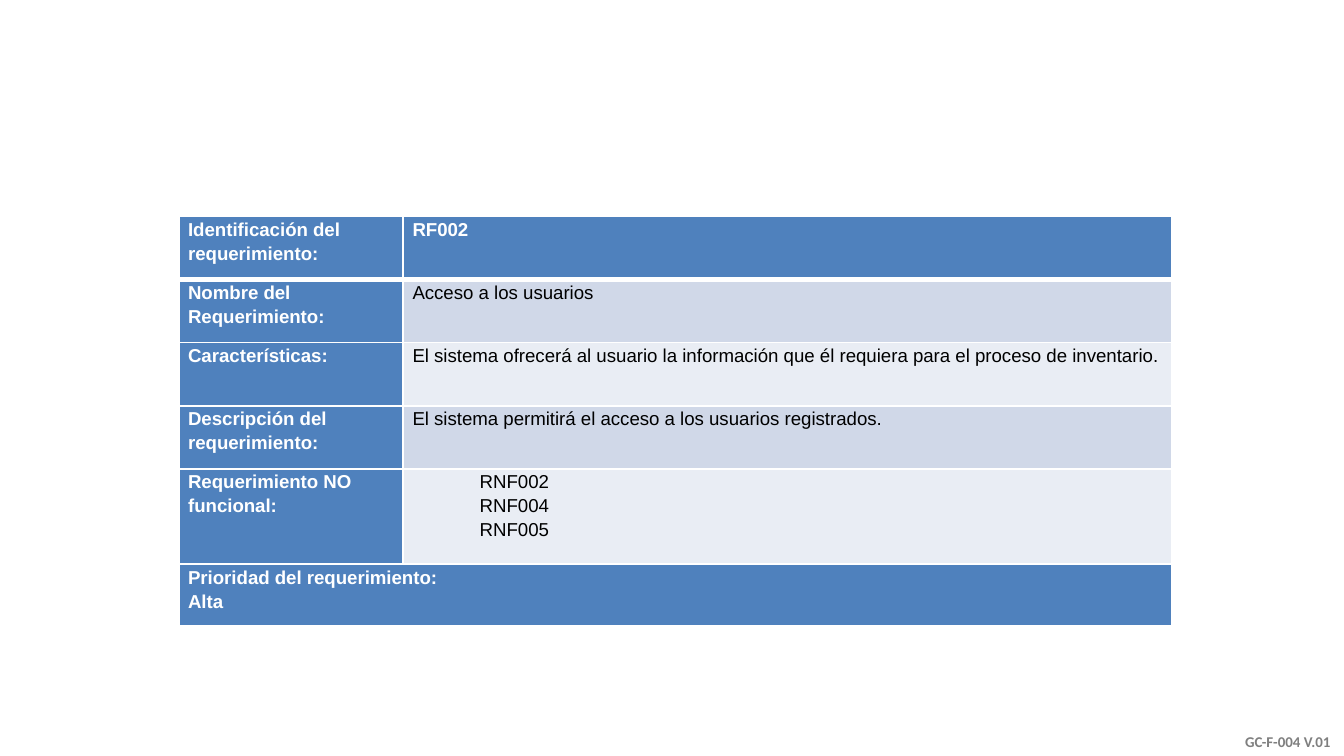
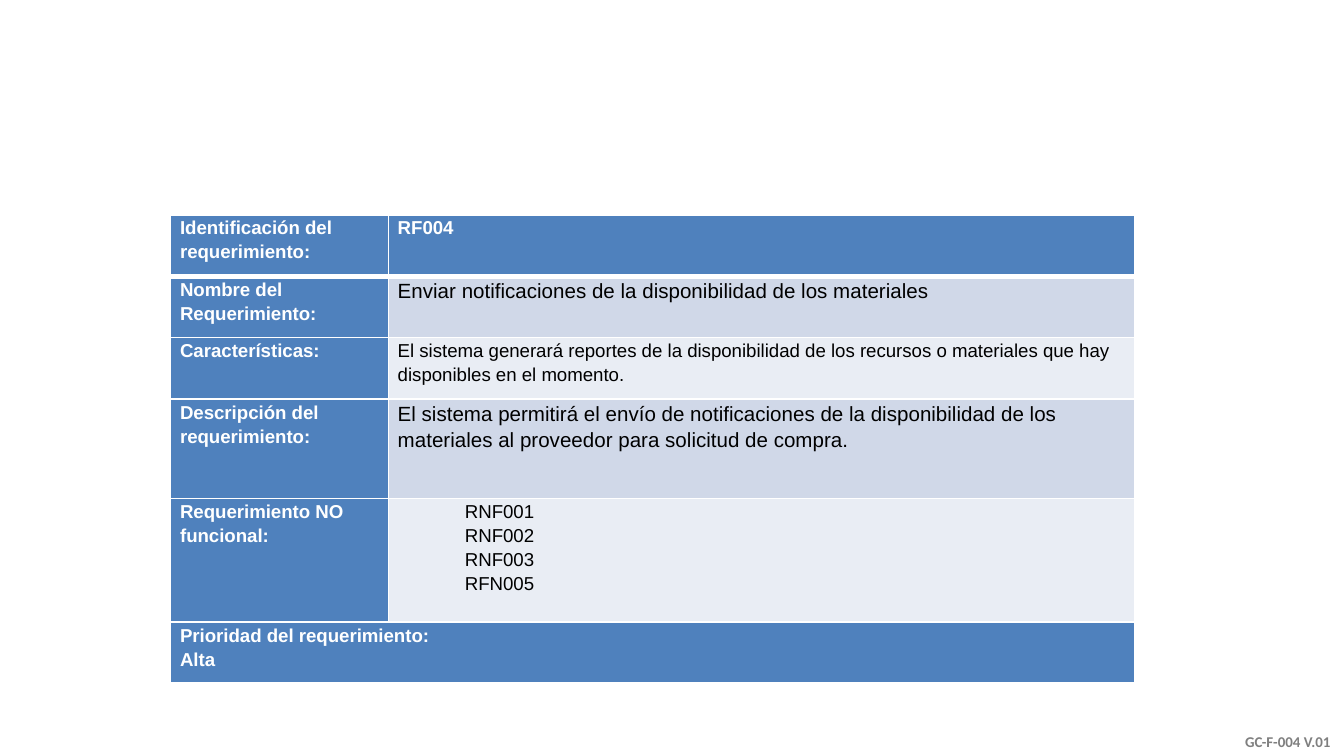
from dataclasses import dataclass

from lxml.etree import SubElement
from pptx import Presentation
from pptx.dml.color import RGBColor as Color
from pptx.enum.text import MSO_ANCHOR as Anchor, PP_ALIGN as Align
from pptx.oxml.ns import qn
from pptx.util import Inches, Pt


@dataclass(frozen=True)
class Theme:
    accent: str = "4F81BD"
    bands: tuple = ("D0D8E8", "E9EDF4")
    light: str = "FFFFFF"
    dark: str = "000000"
    muted: str = "7F7F7F"
    body_font: str = "Arial"
    footer_font: str = "Calibri"
    body_size: int = 10
    large_size: int = 11
    footer_size: int = 8
    line_spacing: float = 1.15
    border: int = 1
    header_border: int = 3


THEME = Theme()
PAGE_WIDTH = 10
PAGE_HEIGHT = PAGE_WIDTH * 9 / 16
FOOTER = "GC-F-004 V.01"
LABELS = [
    "Identificación del requerimiento:",
    "Nombre del Requerimiento:",
    "Características:",
    "Descripción del requerimiento:",
    "Requerimiento NO funcional:",
]
PRIORITY_LABEL = "Prioridad del requerimiento:"

REQUIREMENTS = [
    {
        "code": "RF002",
        "name": "Acceso a los usuarios",
        "features": "El sistema ofrecerá al usuario la información que él requiera "
                    "para el proceso de inventario.",
        "description": "El sistema permitirá el acceso a los usuarios registrados.",
        "non_functional": ["RNF002", "RNF004", "RNF005"],
        "priority": "Alta",
        "large_rows": (),
        "origin": (1.33, 1.61),
        "widths": (1.67, 5.72),
        "heights": (0.47, 0.47, 0.47, 0.47, 0.71, 0.46),
    },
    {
        "code": "RF004",
        "name": "Enviar notificaciones de la disponibilidad de los materiales",
        "features": "El sistema generará reportes de la disponibilidad de los recursos "
                    "o materiales que hay disponibles en el momento.",
        "description": "El sistema permitirá el envío de notificaciones de la "
                       "disponibilidad de los materiales al proveedor para solicitud "
                       "de compra.",
        "non_functional": ["RNF001", "RNF002", "RNF003", "RFN005"],
        "priority": "Alta",
        "large_rows": (1, 3),
        "origin": (1.27, 1.6),
        "widths": (1.62, 5.55),
        "heights": (0.46, 0.45, 0.46, 0.74, 0.92, 0.45),
    },
]


def format_text(para, font, size, color, bold):
    for span in para.runs:
        span.font.name = font
        span.font.size = Pt(size)
        span.font.bold = bold
        span.font.color.rgb = Color.from_string(color)


def set_borders(cell, row):
    properties = cell._tc.get_or_add_tcPr()
    for side in "LRTB":
        below_header = (row, side) in ((0, "B"), (1, "T"))
        width = THEME.header_border if below_header else THEME.border
        line = SubElement(properties, qn(f"a:ln{side}"), w=str(Pt(width)))
        fill = SubElement(line, qn("a:solidFill"))
        SubElement(fill, qn("a:srgbClr"), val=THEME.light)


def write_cell(cell, row, lines, fill, strong, size=THEME.body_size, indent=0):
    cell.margin_left = cell.margin_right = Inches(0.07)
    cell.margin_top = cell.margin_bottom = 0
    set_borders(cell, row)
    cell.fill.solid()
    cell.fill.fore_color.rgb = Color.from_string(fill)
    cell.text_frame.text = "\n".join(lines)
    for para in cell.text_frame.paragraphs:
        para.line_spacing = THEME.line_spacing
        if indent:
            properties = para._p.get_or_add_pPr()
            properties.set("marL", str(Inches(indent)))
            properties.set("indent", "0")
        color = THEME.light if strong else THEME.dark
        format_text(para, THEME.body_font, size, color, strong)


def add_requirement(page, item):
    widths, heights = item["widths"], item["heights"]
    left, top = item["origin"]
    table = page.shapes.add_table(
        len(heights), len(widths), Inches(left), Inches(top),
        Inches(sum(widths)), Inches(sum(heights))).table
    for column, width in zip(table.columns, widths):
        column.width = Inches(width)
    for table_row, height in zip(table.rows, heights):
        table_row.height = Inches(height)

    values = [[item["code"]], [item["name"]], [item["features"]],
              [item["description"]], item["non_functional"]]
    for row, (label, lines) in enumerate(zip(LABELS, values)):
        header = row == 0
        write_cell(table.cell(row, 0), row, [label], THEME.accent, True)
        write_cell(
            table.cell(row, 1), row, lines,
            THEME.accent if header else THEME.bands[(row - 1) % 2], header,
            THEME.large_size if row in item["large_rows"] else THEME.body_size,
            0.5 if lines is item["non_functional"] else 0)

    last = len(LABELS)
    table.cell(last, 0).merge(table.cell(last, 1))
    write_cell(table.cell(last, 0), last, [PRIORITY_LABEL, item["priority"]],
               THEME.accent, True)
    set_borders(table.cell(last, 1), last)


def add_footer(page):
    box = page.shapes.add_textbox(Inches(8.37), Inches(5.2), Inches(1.63), Inches(0.43))
    frame = box.text_frame
    frame.word_wrap = True
    frame.vertical_anchor = Anchor.BOTTOM
    frame.text = FOOTER
    para = frame.paragraphs[0]
    para.alignment = Align.RIGHT
    format_text(para, THEME.footer_font, THEME.footer_size, THEME.muted, True)


def main():
    deck = Presentation()
    deck.slide_width, deck.slide_height = Inches(PAGE_WIDTH), Inches(PAGE_HEIGHT)
    blank = deck.slide_layouts[6]
    for item in REQUIREMENTS:
        page = deck.slides.add_slide(blank)
        add_footer(page)
        add_requirement(page, item)
    deck.save("out.pptx")


if __name__ == "__main__":
    main()
